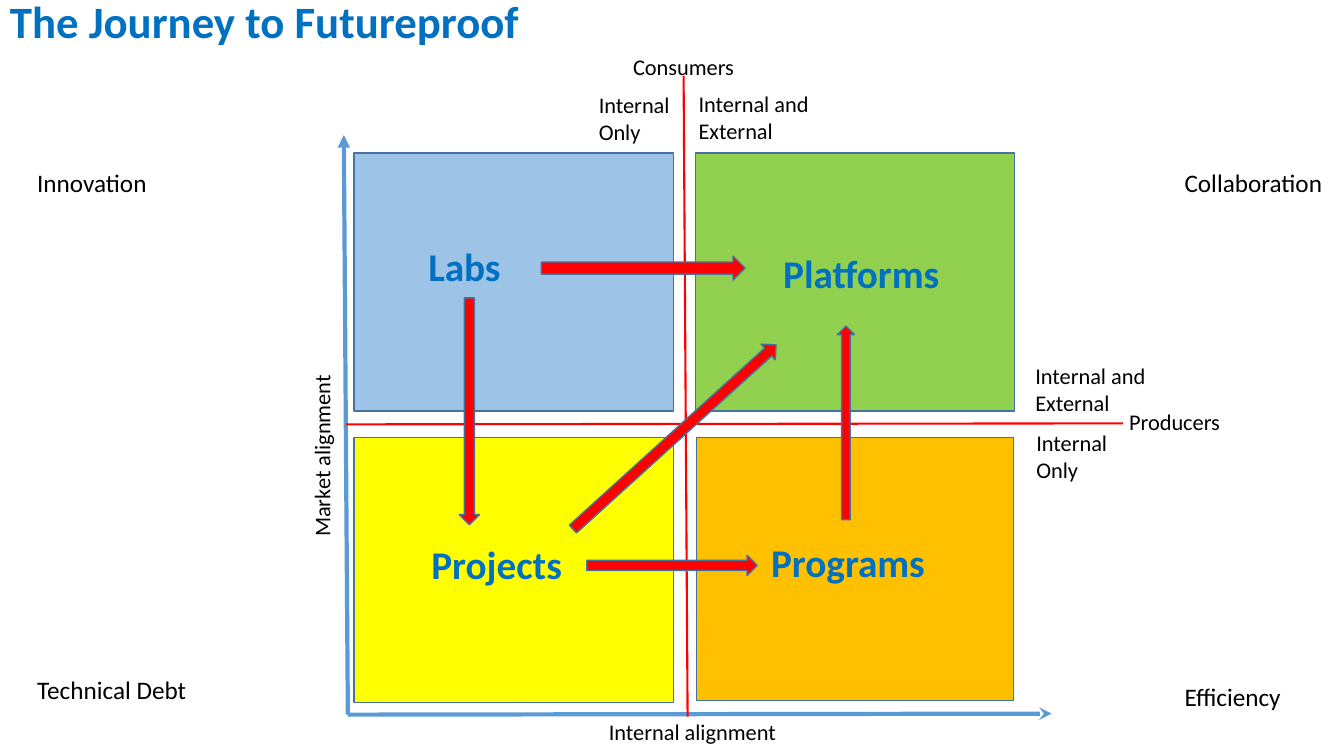
from lxml import etree
from pptx import Presentation
from pptx.dml.color import RGBColor
from pptx.enum.shapes import MSO_CONNECTOR, MSO_SHAPE
from pptx.enum.text import MSO_AUTO_SIZE
from pptx.oxml.ns import qn
from pptx.util import Pt

RECT = MSO_SHAPE.RECTANGLE
ARROW = MSO_SHAPE.RIGHT_ARROW
STRAIGHT = MSO_CONNECTOR.STRAIGHT
GROW = MSO_AUTO_SIZE.SHAPE_TO_FIT_TEXT

PX = 9144  # 100 px to the inch
FONT = "Calibri"
COLORS = {
    "text": "000000", "heading": "0070C0", "axis": "5B9BD5",
    "red": "FF0000", "outline": "43739E", "labs": "9DC3E6",
    "platforms": "92D050", "projects": "FFFF00", "programs": "FFC000",
}
NOTE = {"size": Pt(16)}
CORNER = {"size": Pt(18)}
QUADRANT = {"size": Pt(28), "bold": True, "color": "heading"}
TITLE = {"size": Pt(32), "bold": True, "color": "heading"}


def rgb(name):
    return RGBColor.from_string(COLORS[name])


class Deck:
    def __init__(self, width, height):
        self.prs = Presentation()
        self.prs.slide_width, self.prs.slide_height = width * PX, height * PX
        self.s = self.prs.slides.add_slide(self.prs.slide_layouts[6])

    def shape(self, kind, box, fill, rotation=0):
        sp = self.s.shapes.add_shape(kind, *(v * PX for v in box))
        sp.shadow.inherit = False
        sp.rotation = rotation
        sp.fill.solid()
        sp.fill.fore_color.rgb = rgb(fill)
        sp.line.color.rgb = rgb("outline")
        sp.line.width = Pt(1)

    def line(self, start, end, color, width, head=None):
        cn = self.s.shapes.add_connector(
            STRAIGHT, *(v * PX for v in (*start, *end)))
        cn.line.color.rgb = rgb(color)
        cn.line.width = Pt(width)
        if head:
            ln = cn.line.fill._xPr
            etree.SubElement(ln, qn("a:tailEnd"), type=head)
        etree.SubElement(cn._element.spPr, qn("a:effectLst"))

    def text(self, box, lines, style, wrap=True, rotation=0):
        sp = self.s.shapes.add_textbox(*(v * PX for v in box))
        sp.rotation = rotation
        tf = sp.text_frame
        tf.word_wrap = wrap
        tf.auto_size = GROW
        tf.text = lines
        for p in tf.paragraphs:
            for r in p.runs:
                r.font.name = FONT
                r.font.color.rgb = rgb(style.get("color", "text"))
                for name, value in style.items():
                    if name != "color":
                        setattr(r.font, name, value)


def main():
    deck = Deck(1333, 750)

    # Blue axes from the shared corner
    origin = (345, 709)
    deck.line(origin, (341, 134), "axis", 3, "triangle")
    deck.line(origin, (1043, 708), "axis", 3, "stealth")

    # Quadrants
    for box, fill in [
        ((351, 152, 317, 256), "labs"),
        ((690, 152, 316, 256), "platforms"),
        ((351, 434, 317, 263), "projects"),
        ((691, 434, 314, 261), "programs"),
    ]:
        deck.shape(RECT, box, fill)

    # Red dividers
    deck.line((678, 75), (682, 711), "red", 1.5)
    deck.line((343, 421), (1114, 420), "red", 1.5)

    # Quadrant names
    for box, name in [
        ((415, 235, 170, 57), "Labs"),
        ((767, 242, 210, 57), "Platforms"),
        ((418, 531, 180, 57), "Projects"),
        ((755, 529, 210, 57), "Programs"),
    ]:
        deck.text(box, name, QUADRANT)

    # Arrows between quadrants
    for box, rotation in [
        ((533, 423, 272, 21), 317.8),  # Projects to Platforms
        ((743, 411, 192, 17), 270),    # Programs to Platforms
        ((353, 398, 225, 20), 90),     # Labs to Projects
        ((537, 254, 202, 24), 0),      # Labs to Platforms
        ((582, 551, 169, 20), 0),      # Projects to Programs
    ]:
        deck.shape(ARROW, box, "red", rotation)

    # Title and corner labels
    deck.text((0, -11, 530, 64), "The Journey to Futureproof", TITLE, False)
    for box, label, wrap in [
        ((27, 161, 205, 40), "Innovation", True),
        ((1165, 161, 158, 40), "Collaboration", False),
        ((27, 664, 205, 40), "Technical Debt", True),
        ((1165, 671, 117, 40), "Efficiency", False),
    ]:
        deck.text(box, label, CORNER, wrap)

    # Axis and divider labels
    for box, label, wrap, rotation in [
        ((594, 708, 188, 37), "Internal alignment", False, 0),
        ((213, 418, 212, 37), "Market alignment", True, 270),
        ((618, 48, 152, 37), "Consumers", True, 0),
        ((584, 86, 121, 64), "Internal\nOnly", True, 0),
        ((683, 85, 149, 64), "Internal and External", True, 0),
        ((1110, 400, 112, 37), "Producers", False, 0),
        ((1017, 354, 136, 64), "Internal and\nExternal", False, 0),
        ((1018, 421, 96, 64), "Internal\nOnly", False, 0),
    ]:
        deck.text(box, label, NOTE, wrap, rotation)

    deck.prs.save("out.pptx")


if __name__ == "__main__":
    main()
